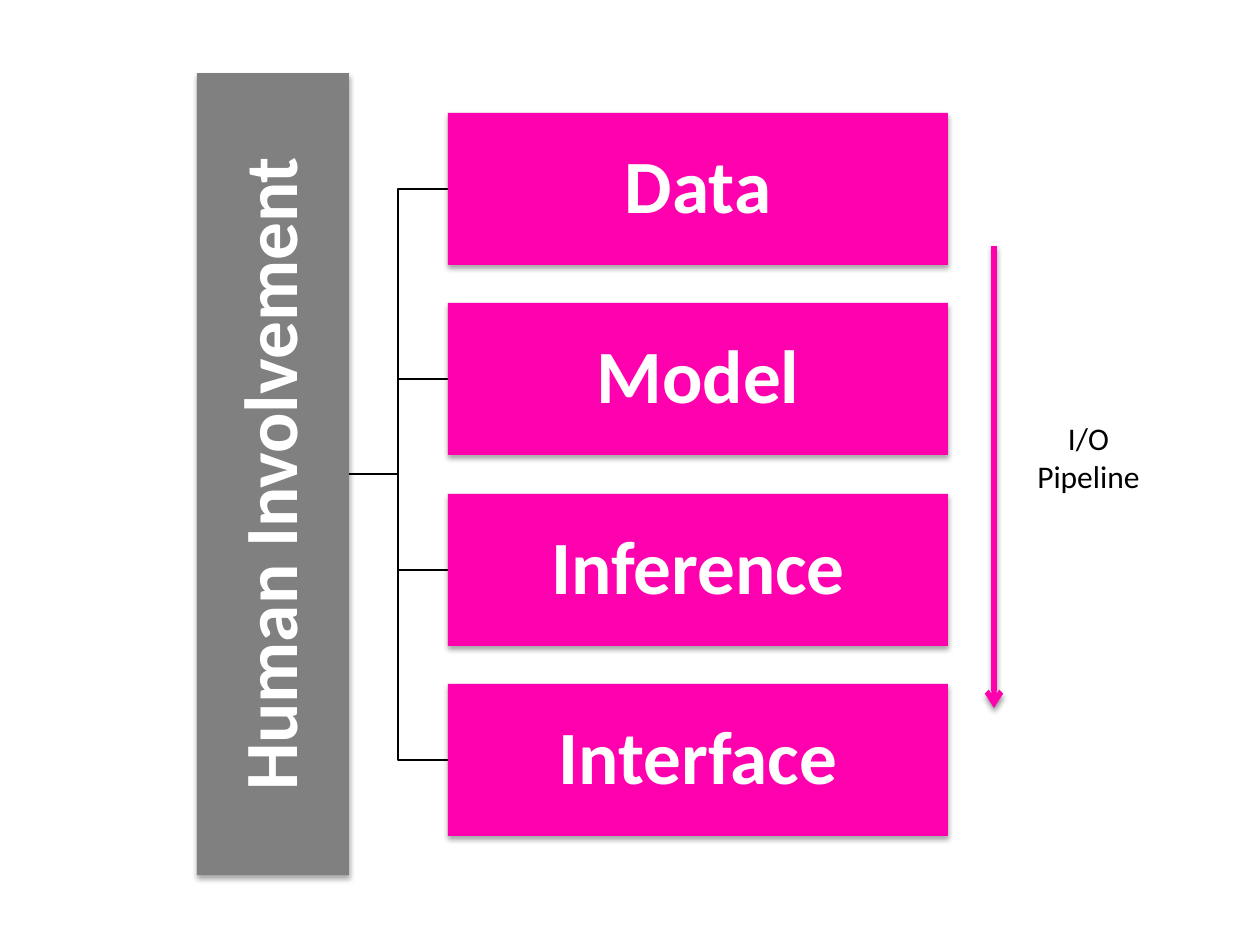
from pptx import Presentation
from pptx.dml.color import RGBColor as RGB
from pptx.enum.shapes import MSO_CONNECTOR as Link, MSO_SHAPE as Shape
from pptx.enum.text import MSO_ANCHOR as Anchor, MSO_AUTO_SIZE as Fit, PP_ALIGN as Align
from pptx.oxml.ns import qn
from pptx.util import Pt
from lxml.etree import SubElement as Sub

PX = 914400 / 126
COLORS = {"pink": "FF00AE", "gray": "808080", "white": "FFFFFF", "black": "000000"}


def emu(n):
    return round(n * PX)


def hue(name):
    return RGB.from_string(COLORS[name])


class Board:
    font = "Calibri"

    def __init__(self, slide):
        self.slide = slide
        self.shapes = slide.shapes

    def shade(self, props, alpha, dist):
        """Soft shadow falling straight down."""
        fx = props.find(qn("a:effectLst"))
        if fx is None:
            fx = Sub(props, qn("a:effectLst"))
        drop = Sub(fx, qn("a:outerShdw"), blurRad=str(Pt(3.1)), dist=str(Pt(dist)),
                   dir="5400000", rotWithShape="0")
        tint = Sub(drop, qn("a:srgbClr"), val=COLORS["black"])
        Sub(tint, qn("a:alpha"), val=str(alpha * 1000))

    def add_run(self, para, text, size, color, bold=False):
        para.alignment = Align.CENTER
        run = para.add_run()
        run.text = text
        font = run.font
        font.name, font.size, font.bold = self.font, Pt(size), bold
        font.color.rgb = hue(color)

    def block(self, text, x, y, w, h, color, turn=0):
        box = self.shapes.add_shape(Shape.RECTANGLE, emu(x), emu(y), emu(w), emu(h))
        box.rotation = turn
        box.fill.solid()
        box.fill.fore_color.rgb = hue(color)
        box.line.fill.background()
        box.shadow.inherit = False
        self.shade(box.element.spPr, 35, 1.8)
        frame = box.text_frame
        frame.word_wrap = True
        frame.vertical_anchor = Anchor.MIDDLE
        frame.margin_left = frame.margin_right = emu(4)
        frame.margin_top = frame.margin_bottom = emu(4)
        para = frame.paragraphs[0]
        para.line_spacing = 0.9
        self.add_run(para, text, 43, "white", True)

    def branch(self, points):
        start, *rest = points
        pen = self.shapes.build_freeform(*start, scale=PX)
        pen.add_line_segments(rest, close=False)
        line = pen.convert_to_shape()
        line.fill.background()
        line.line.color.rgb = hue("black")
        line.line.width = Pt(0.75)
        line.shadow.inherit = False

    def arrow(self, x, top, end, color):
        line = self.shapes.add_connector(Link.STRAIGHT, emu(x), emu(top), emu(x), emu(end))
        line.line.color.rgb = hue(color)
        line.line.width = Pt(3)
        props = line.element.spPr
        Sub(props.find(qn("a:ln")), qn("a:tailEnd"), type="arrow")
        self.shade(props, 38, 1.6)

    def label(self, lines, x, y, w, h):
        frame = self.shapes.add_textbox(emu(x), emu(y), emu(w), emu(h)).text_frame
        frame.word_wrap = False
        frame.auto_size = Fit.SHAPE_TO_FIT_TEXT
        for i, text in enumerate(lines):
            para = frame.add_paragraph() if i else frame.paragraphs[0]
            self.add_run(para, text, 18, "black")


def main():
    deck = Presentation()
    deck.slide_width, deck.slide_height = emu(1260), emu(945)
    board = Board(deck.slides.add_slide(deck.slide_layouts[6]))

    # Stage grid: four boxes with equal gaps
    stages = ["Data", "Model", "Inference", "Interface"]
    left, wide, high = 448, 500, 152
    tops = [113 + 381 * i // 2 for i in range(len(stages))]
    mid = (tops[0] + tops[-1] + high) // 2

    # Branches from the side bar to each stage
    edge, bend = 349, 398
    for top in reversed(tops):
        y = top + high // 2
        board.branch([(edge, mid), (bend, mid), (bend, y), (left, y)])

    # Side bar, turned to read upwards
    span = 802
    board.block("Human Involvement", edge - (span + high) // 2, mid - high // 2,
                span, high, "gray", 270)

    # Stages
    for text, top in zip(stages, tops):
        board.block(text, left, top, wide, high, "pink")

    # Flow arrow and its label
    board.arrow(994, 246, 708, "pink")
    board.label(["I/O", "Pipeline"], 1024, 413, 129, 89)

    deck.save("out.pptx")


if __name__ == "__main__":
    main()
